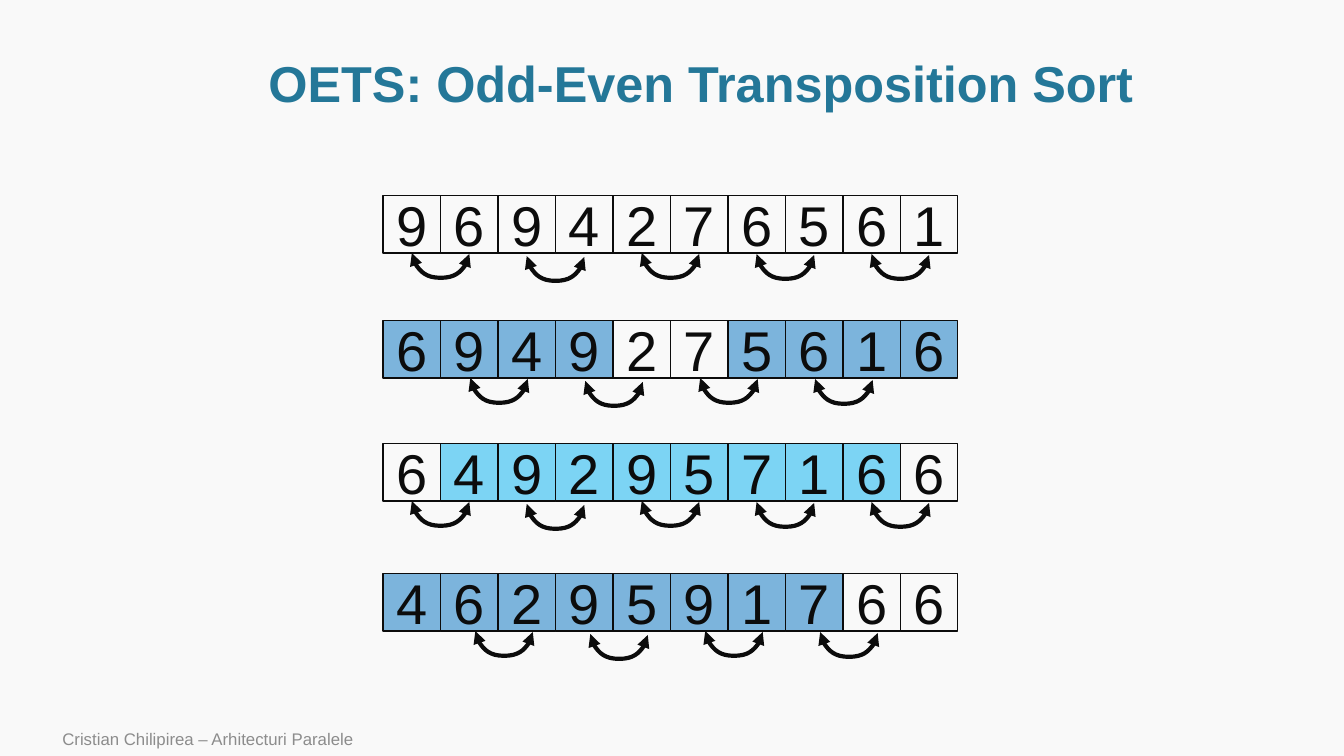
import pptx
import pptx.dml.color
import pptx.enum.shapes
import pptx.enum.text
import pptx.oxml
import pptx.oxml.ns
import pptx.util
from lxml import etree

RGBColor = pptx.dml.color.RGBColor
Inches = pptx.util.Inches
BACKGROUND = RGBColor(0xF9, 0xF9, 0xF9)
INK = RGBColor(0x0C, 0x0C, 0x0C)
TITLE_BLUE = RGBColor(0x24, 0x77, 0x98)
FOOTER_GREY = RGBColor(0x8C, 0x8C, 0x8C)
ODD_BLUE = RGBColor(0x00, 0x70, 0xC0)
EVEN_BLUE = RGBColor(0x00, 0xB0, 0xF0)
CENTER = pptx.enum.text.PP_ALIGN.CENTER
LEFT = pptx.enum.text.PP_ALIGN.LEFT

CELL = 0.57
GRID_LEFT = 3.8
ARC_RISE = 0.01  # height difference between the two ends of an arc
ARC_DEPTH = 25  # arc depth as a multiple of the rise
ARC_DROPS = (0, 0.03, 0, 0.01, 0.01)

# Top, digits, swapped columns, their colour, first compared column, arc shift
STEPS = [
    (1.94, "9694276561", (), None, 0, 0),
    (3.18, "6949275616", (0, 1, 2, 3, 6, 7, 8, 9), ODD_BLUE, 1, 0.01),
    (4.40, "6492957166", range(1, 9), EVEN_BLUE, 0, 0),
    (5.69, "4629591766", range(8), ODD_BLUE, 1, 0.06),
]


def write(shape, text, size, color, alignment, bold=False):
    frame = shape.text_frame
    frame.word_wrap = True
    frame.vertical_anchor = pptx.enum.text.MSO_ANCHOR.MIDDLE
    paragraph = frame.paragraphs[0]
    paragraph.alignment = alignment
    run = paragraph.add_run()
    run.text = text
    run.font.name = "Arial"
    run.font.size = pptx.util.Pt(size)
    run.font.bold = bold
    run.font.color.rgb = color
    return paragraph


def add_arc(left, top):
    """Draw a two-headed arc, one cell wide, hanging below a pair of cells."""
    middle_x, middle_y = left + CELL / 2, top + ARC_RISE / 2
    # An upright curve, mirrored and then turned on its side
    arc = slide.shapes.add_connector(
        pptx.enum.shapes.MSO_CONNECTOR.CURVE,
        Inches(middle_x + ARC_RISE / 2), Inches(middle_y - CELL / 2),
        Inches(middle_x - ARC_RISE / 2), Inches(middle_y + CELL / 2))
    arc.line.color.rgb = INK
    arc.line.width = pptx.util.Pt(3)
    properties = arc._element.spPr
    qn = pptx.oxml.ns.qn
    properties.find(qn("a:xfrm")).set("rot", str(270 * 60000))
    guides = properties.find(qn("a:prstGeom")).get_or_add_avLst()
    etree.SubElement(guides, qn("a:gd"), name="adj1", fmla=f"val {ARC_DEPTH * 100000}")
    line = properties.find(qn("a:ln"))
    for end in ("a:headEnd", "a:tailEnd"):
        etree.SubElement(line, qn(end), type="triangle")
    etree.SubElement(properties, qn("a:effectLst"))


presentation = pptx.Presentation()
presentation.slide_width = Inches(13.33)
presentation.slide_height = Inches(7.5)
slide = presentation.slides.add_slide(presentation.slide_layouts[6])
slide.background.fill.solid()
slide.background.fill.fore_color.rgb = BACKGROUND

# Title
title = slide.shapes.add_textbox(Inches(1.14), Inches(0.51), Inches(11.63), Inches(0.69))
write(title, "OETS: Odd-Even Transposition Sort", 36, TITLE_BLUE, CENTER, True).line_spacing = 0.9

# Sorting steps
for top, digits, swapped, color, first, shift in STEPS:
    for column, digit in enumerate(digits):
        cell = slide.shapes.add_shape(
            pptx.enum.shapes.MSO_SHAPE.RECTANGLE,
            Inches(GRID_LEFT + column * CELL), Inches(top), Inches(CELL), Inches(CELL))
        cell.shadow.inherit = False
        cell.line.color.rgb = INK
        cell.line.width = pptx.util.Pt(1)
        if column in swapped:
            cell.fill.solid()
            cell.fill.fore_color.rgb = color
            tint = cell._element.spPr.find(".//" + pptx.oxml.ns.qn("a:srgbClr"))
            etree.SubElement(tint, pptx.oxml.ns.qn("a:alpha"), val="50000")
        else:
            cell.fill.background()
        write(cell, digit, 40, INK, CENTER)

    # Compared pairs
    for column, drop in zip(range(first, len(digits) - 1, 2), ARC_DROPS):
        add_arc(GRID_LEFT + (column + 0.5) * CELL + shift, top + CELL + drop)

# Footer
footer = slide.shapes.add_textbox(Inches(0.52), Inches(7.16), Inches(8.4), Inches(0.34))
write(footer, "Cristian Chilipirea – Arhitecturi Paralele", 12, FOOTER_GREY, LEFT)

presentation.save("out.pptx")
